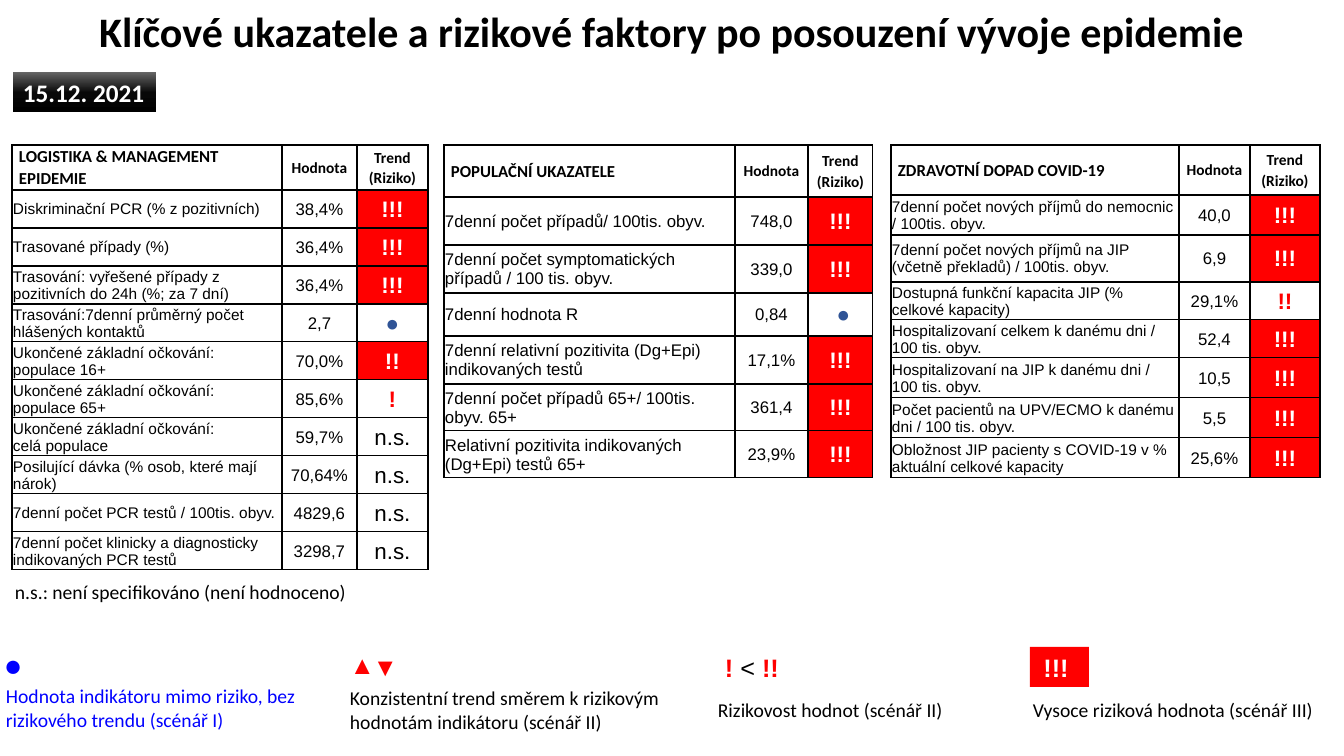
import copy
import lxml.etree
import pptx
import pptx.dml.color
import pptx.enum.shapes
import pptx.enum.text
import pptx.oxml.ns
import pptx.util

PX = 914400 / 100.8
COLORS = {"black": "000000", "ink": "080808", "gray": "666666", "white": "FFFFFF",
          "red": "FF0000", "blue": "0000FF", "navy": "305496"}
RGB = {name: pptx.dml.color.RGBColor.from_string(value) for name, value in COLORS.items()}
LEFT, CENTER = pptx.enum.text.PP_ALIGN.LEFT, pptx.enum.text.PP_ALIGN.CENTER
RECT = pptx.enum.shapes.MSO_SHAPE.RECTANGLE
qn = pptx.oxml.ns.qn


def px(*lengths):
    return [pptx.util.Emu(round(n * PX)) for n in lengths]


def write(tf, text, size, font="Calibri", color="black", bold=False, align=LEFT, spacing=None):
    """Put each line of text in its own paragraph, all with one format."""
    tf.text = text
    for p in tf.paragraphs:
        p.alignment = align
        p.line_spacing = spacing
        p.font.name, p.font.size = font, pptx.util.Pt(size)
        p.font.bold, p.font.color.rgb = bold, RGB[color]


prs = pptx.Presentation()
prs.slide_width, prs.slide_height = px(1344, 756)
s = prs.slides.add_slide(prs.slide_layouts[5])

title = s.shapes.title
title.left, title.top, title.width, title.height = px(17, 0, 1310, 61)
title.text_frame.auto_size = pptx.enum.text.MSO_AUTO_SIZE.NONE
write(title.text_frame, "Klíčové ukazatele a rizikové faktory po posouzení vývoje epidemie",
      30, bold=True, align=CENTER)

# Trend styles: text colour, fill, bold
TRENDS = {"high": ("white", "red", True), "warning": ("red", "white", True),
          "safe": ("navy", "white", True), "unrated": ("black", "white", False)}

# Left edge, column widths, row heights, label size, heading, rows
TABLES = [
    (12, [270, 75, 71], [45] + [38] * 10, 11, "LOGISTIKA & MANAGEMENT\nEPIDEMIE", [
        ("Diskriminační PCR (% z pozitivních)", "38,4%", "!!!", "high"),
        ("Trasované případy (%)", "36,4%", "!!!", "high"),
        ("Trasování: vyřešené případy z pozitivních do 24h (%; za 7 dní)", "36,4%", "!!!", "high"),
        ("Trasování:7denní průměrný počet hlášených kontaktů", "2,7", "●", "safe"),
        ("Ukončené základní očkování:\npopulace 16+", "70,0%", "!!", "high"),
        ("Ukončené základní očkování:\npopulace 65+", "85,6%", "!", "warning"),
        ("Ukončené základní očkování:\ncelá populace", "59,7%", "n.s.", "unrated"),
        ("Posilující dávka (% osob, které mají nárok)", "70,64%", "n.s.", "unrated"),
        ("7denní počet PCR testů / 100tis. obyv.", "4829,6", "n.s.", "unrated"),
        ("7denní počet klinicky a diagnosticky indikovaných PCR testů", "3298,7", "n.s.", "unrated"),
    ]),
    (444, [291, 73, 65], [52, 48, 48, 43, 48, 47, 47], 12, "POPULAČNÍ UKAZATELE", [
        ("7denní počet případů/ 100tis. obyv.", "748,0", "!!!", "high"),
        ("7denní počet symptomatických případů / 100 tis. obyv.", "339,0", "!!!", "high"),
        ("7denní hodnota R", "0,84", " ●", "safe"),
        ("7denní relativní pozitivita (Dg+Epi) indikovaných testů", "17,1%", "!!!", "high"),
        ("7denní počet případů 65+/ 100tis. obyv. 65+", "361,4", "!!!", "high"),
        ("Relativní pozitivita indikovaných (Dg+Epi) testů 65+", "23,9%", "!!!", "high"),
    ]),
    (891, [288, 71, 70], [50, 40, 47, 38, 38, 40, 40, 40], 11, "ZDRAVOTNÍ DOPAD COVID-19", [
        ("7denní počet nových příjmů do nemocnic / 100tis. obyv.", "40,0", "!!!", "high"),
        ("7denní počet nových příjmů na JIP (včetně překladů) / 100tis. obyv.", "6,9", "!!!", "high"),
        ("Dostupná funkční kapacita JIP (% celkové kapacity)", "29,1%", "!!", "warning"),
        ("Hospitalizovaní celkem k danému dni / 100 tis. obyv.", "52,4", "!!!", "high"),
        ("Hospitalizovaní na JIP k danému dni / 100 tis. obyv.", "10,5", "!!!", "high"),
        ("Počet pacientů na UPV/ECMO k danému dni / 100 tis. obyv.", "5,5", "!!!", "high"),
        ("Obložnost JIP pacienty s COVID-19 v % aktuální celkové kapacity", "25,6%", "!!!", "high"),
    ]),
]

for left, widths, heights, label_size, heading, rows in TABLES:
    table = s.shapes.add_table(len(heights), len(widths),
                               *px(left, 145, sum(widths), sum(heights))).table
    table.first_row = table.horz_banding = False
    for column, width in zip(table.columns, px(*widths)):
        column.width = width
    for row, height in zip(table.rows, px(*heights)):
        row.height = height

    for i, texts in enumerate([(heading, "Hodnota", "Trend\n(Riziko)", "unrated")] + rows):
        trend_color, trend_fill, trend_bold = TRENDS[texts[3]]
        for j, text in enumerate(texts[:3]):
            cell = table.cell(i, j)
            cell.vertical_anchor = pptx.enum.text.MSO_ANCHOR.MIDDLE
            side, top = (7, 0) if i == 0 else (1, 1)
            cell.margin_left, cell.margin_right, cell.margin_top, cell.margin_bottom = px(
                side, side, top, 0)
            tc_pr = cell._tc.get_or_add_tcPr()
            for edge in ("a:lnL", "a:lnR", "a:lnT", "a:lnB"):
                ln = lxml.etree.SubElement(tc_pr, qn(edge), w="12700")
                solid = lxml.etree.SubElement(ln, qn("a:solidFill"))
                lxml.etree.SubElement(solid, qn("a:srgbClr"), val=COLORS["black"])
            cell.fill.solid()
            cell.fill.fore_color.rgb = RGB[trend_fill if j == 2 else "white"]
            align = LEFT if j == 0 else CENTER
            if i == 0:
                write(cell.text_frame, text, 12 if j == 0 else 11, bold=True,
                      align=align, spacing=1.07)
            elif j == 2:
                write(cell.text_frame, text, 16, "Arial", trend_color, trend_bold, align)
            else:
                write(cell.text_frame, text, label_size if j == 0 else 12, "Arial", align=align)

date = s.shapes.add_shape(RECT, *px(13, 72, 143, 40))
date.fill.gradient()
date.fill.gradient_angle = 90
gs_lst = date._element.spPr.find(".//" + qn("a:gsLst"))
gs_lst.insert(1, copy.deepcopy(gs_lst[0]))
for stop, position, color in zip(date.fill.gradient_stops, (0, 0.48, 1), ("black", "ink", "gray")):
    stop.position, stop.color.rgb = position, RGB[color]
write(date.text_frame, "15.12. 2021", 18, color="white", bold=True)
date.text_frame.word_wrap = False

high_risk = s.shapes.add_shape(RECT, *px(1030, 647, 59, 40))
high_risk.fill.solid()
high_risk.fill.fore_color.rgb = RGB["red"]
write(high_risk.text_frame, "!!! ", 18, "Arial", "white", True, CENTER)

for sp in (date, high_risk):
    sp.shadow.inherit = False
    sp.line.fill.background()
    sp.text_frame.vertical_anchor = pptx.enum.text.MSO_ANCHOR.TOP

# Box, text, size, font, colour, bold
NOTES = [
    ((5, 575, 357, 34), "n.s.: není specifikováno (není hodnoceno)", 14, "Calibri", "black", False),
    ((-6, 641, 41, 47), "●", 22, "Arial", "blue", True),
    ((-4, 679, 368, 58), "Hodnota indikátoru mimo riziko, bez rizikového trendu (scénář I)",
     14, "Calibri", "blue", False),
    ((340, 644, 47, 40), "▲", 18, "Arial", "red", True),
    ((363, 646, 47, 40), "▼", 18, "Arial", "red", True),
    ((340, 681, 335, 58), "Konzistentní trend směrem k rizikovým hodnotám indikátoru (scénář II)",
     14, "Calibri", "black", False),
    ((715, 647, 79, 40), "! ", 18, "Arial", "red", True),
    ((708, 693, 257, 34), "Rizikovost hodnot (scénář II)", 14, "Calibri", "black", False),
    ((1023, 693, 311, 34), "Vysoce riziková hodnota (scénář III)", 14, "Calibri", "black", False),
]
for box, text, *style in NOTES:
    tf = s.shapes.add_textbox(*px(*box)).text_frame
    tf.word_wrap = True
    write(tf, text, *style)
    if text == "! ":
        p = tf.paragraphs[0]
        r = p.add_run()
        r.text, r.font.bold, r.font.color.rgb = "<", False, RGB["black"]
        p.add_run().text = " !!"

prs.save("out.pptx")
